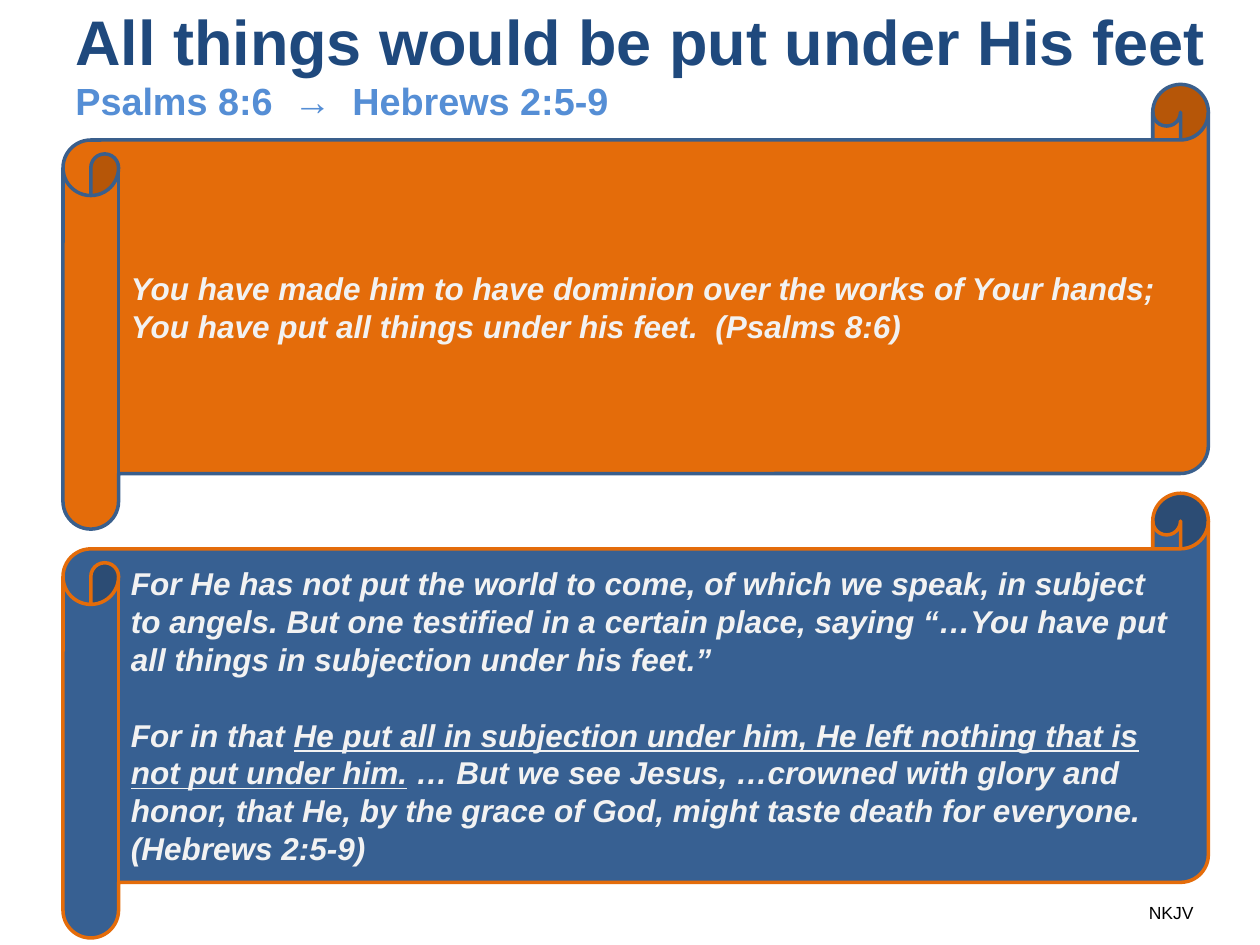
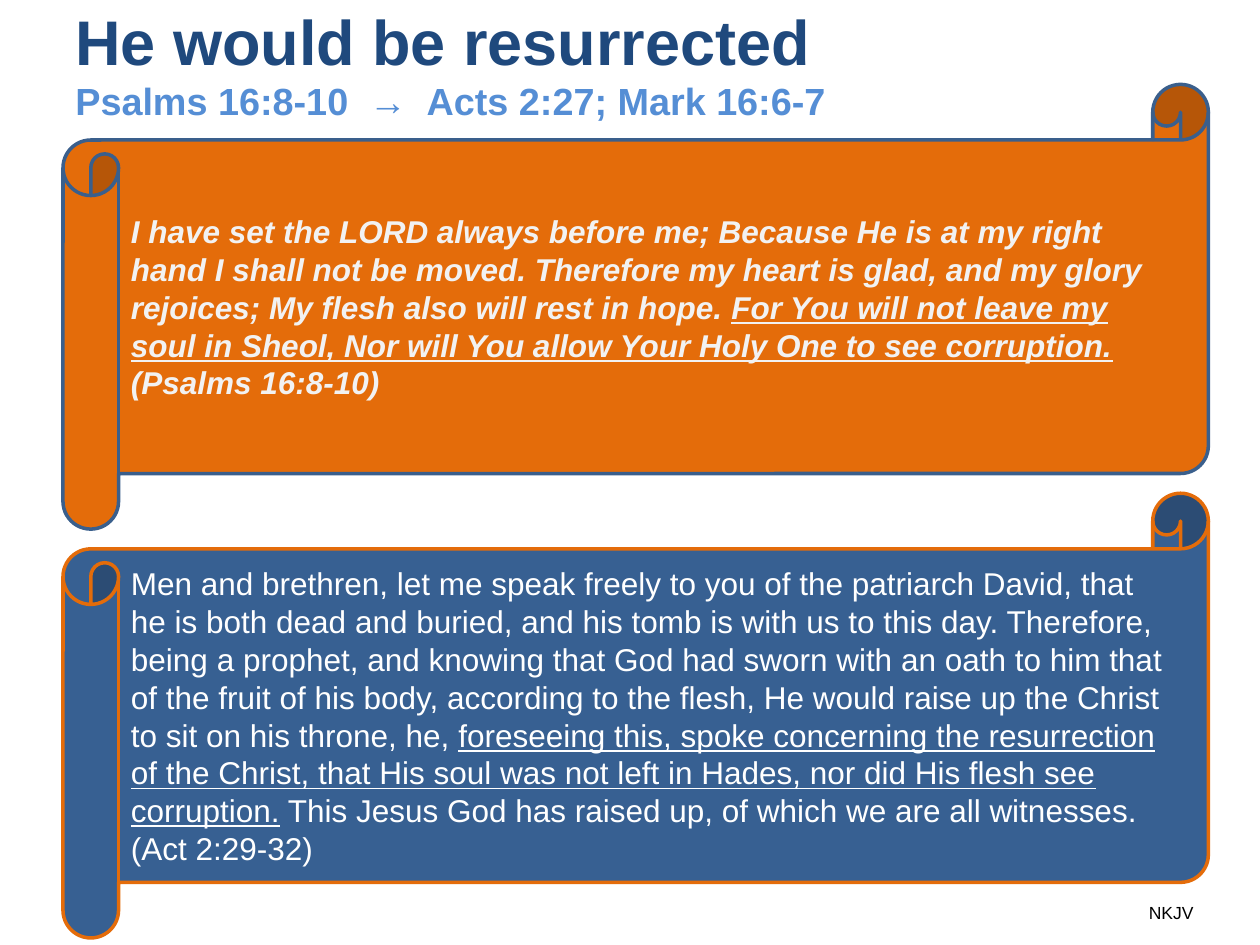
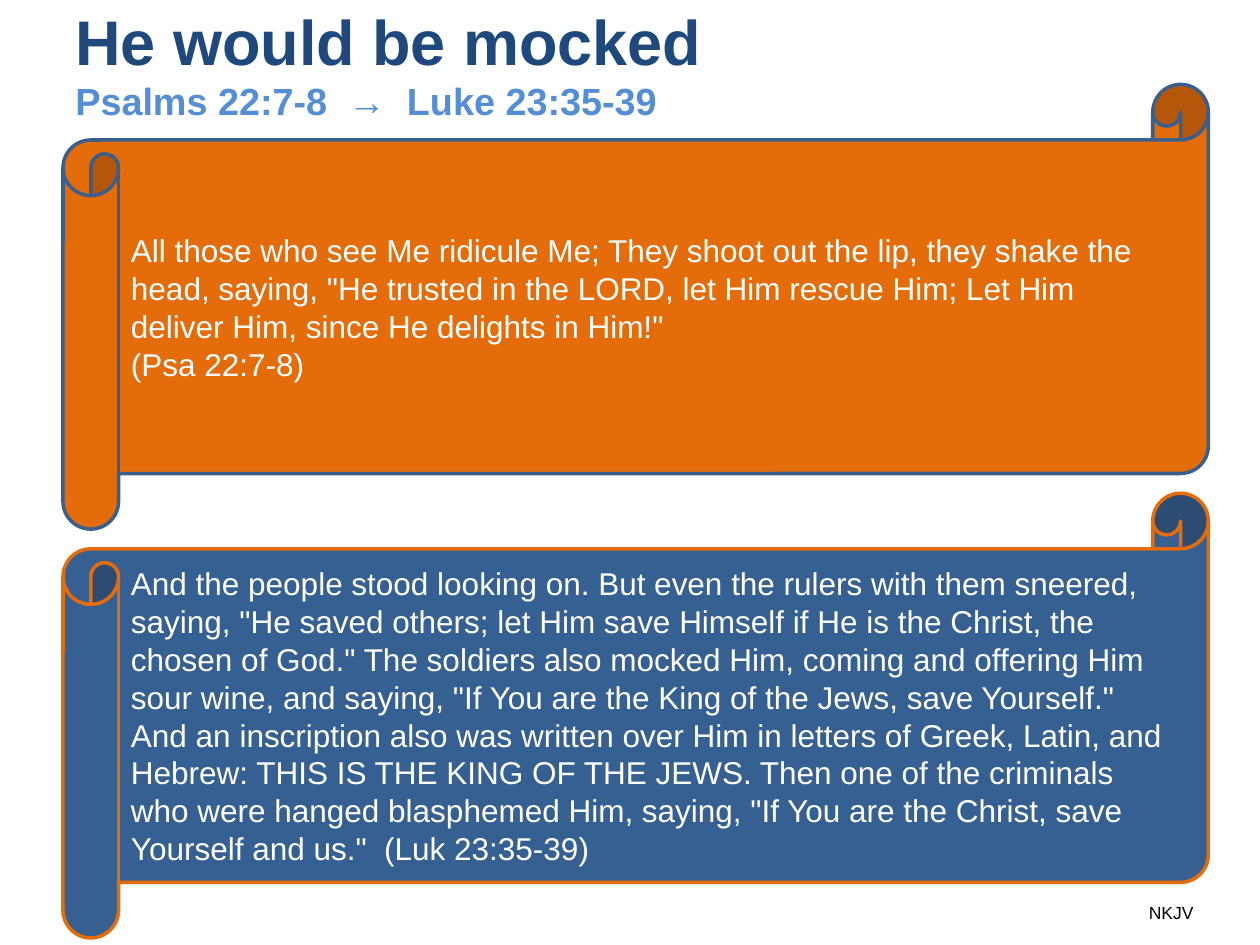
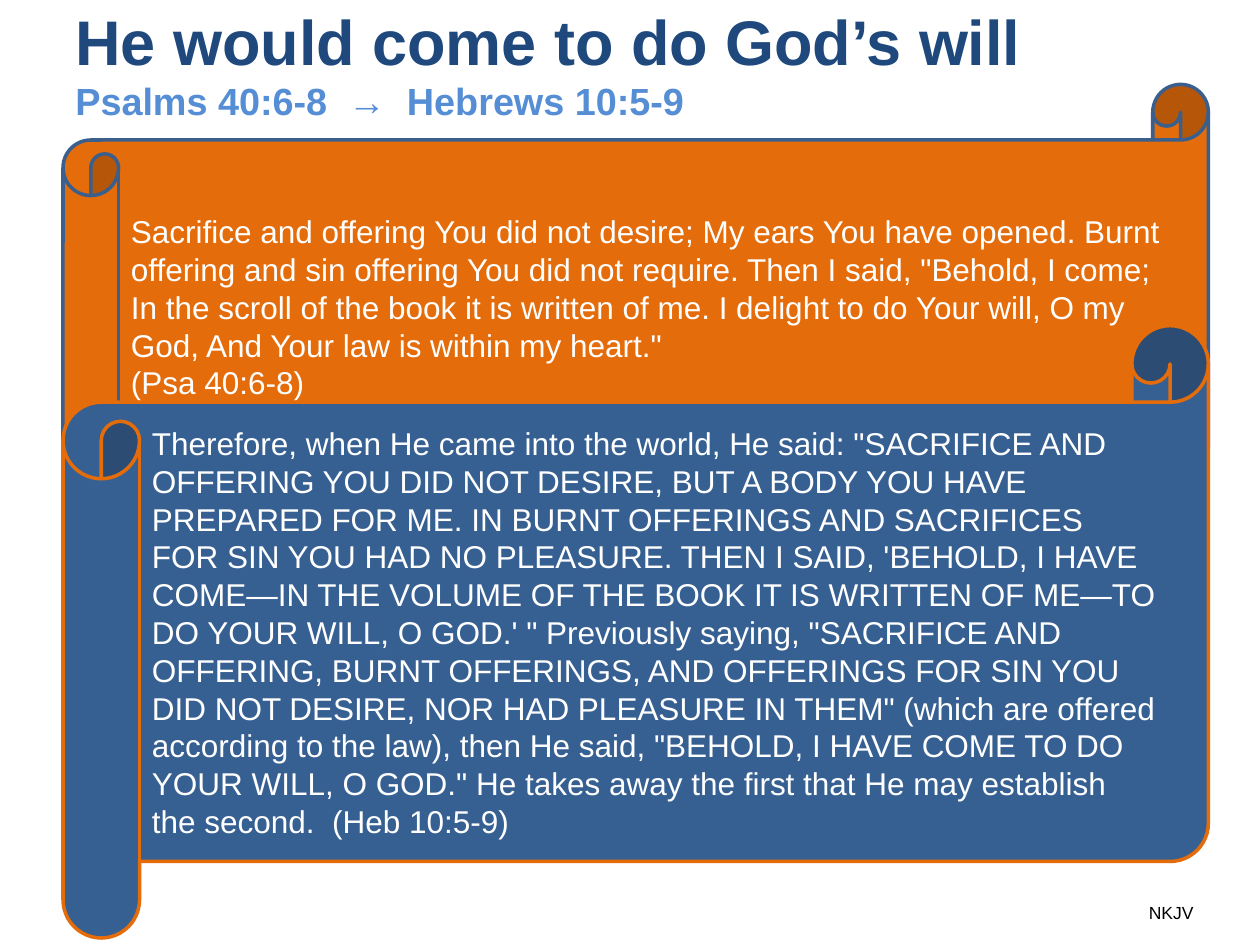
from dataclasses import dataclass

from pptx import Presentation
from pptx.dml.color import RGBColor
from pptx.enum.shapes import MSO_SHAPE
from pptx.enum.text import MSO_ANCHOR, PP_ALIGN
from pptx.util import Inches, Pt

SCROLL = MSO_SHAPE.HORIZONTAL_SCROLL
MIDDLE = MSO_ANCHOR.MIDDLE
LEFT = PP_ALIGN.LEFT

NAVY = RGBColor(0x1F, 0x49, 0x7D)
SKY = RGBColor(0x55, 0x8E, 0xD5)
ORANGE = RGBColor(0xE4, 0x6C, 0x0A)
STEEL = RGBColor(0x37, 0x60, 0x92)
SLATE = RGBColor(0x3A, 0x5F, 0x8C)
PALE = RGBColor(0xF2, 0xF2, 0xF2)
WHITE = RGBColor(0xFF, 0xFF, 0xFF)
BLACK = RGBColor(0x00, 0x00, 0x00)

FONT = "Arial"
WIDTH, HEIGHT = Inches(10), Inches(7.5)
COLUMN, ROW = WIDTH / 100, HEIGHT / 75
MARGIN = 5
SCROLL_COLUMNS = 90.9
PROPHECY_ROW = 6.7
PROPHECY_ROWS = 35.3
SCROLL_BOTTOM = 74.45
PARAGRAPH_GAP = Pt(21.6)


@dataclass(frozen=True)
class Area:
    column: float
    row: float
    columns: float
    rows: float

    def lengths(self) -> tuple[int, int, int, int]:
        return (round(self.column * COLUMN), round(self.row * ROW),
                round(self.columns * COLUMN), round(self.rows * ROW))


@dataclass(frozen=True)
class Span:
    text: str
    underlined: bool = False


@dataclass(frozen=True)
class Verse:
    paragraphs: list[list[Span]]
    emphasised: bool = False
    spaced: bool = False


@dataclass(frozen=True)
class Lesson:
    title: str
    references: str
    prophecy: Verse
    fulfilment: Verse
    title_columns: float = 90
    fulfilment_rows: float = PROPHECY_ROWS


LESSONS = [
    Lesson(
        "All things would be put under His feet",
        "Psalms 8:6  →  Hebrews 2:5-9",
        Verse([[Span(
            "You have made him to have dominion over the works of Your hands; "
            "You have put all things under his feet.  (Psalms 8:6)")]],
            emphasised=True),
        Verse([
            [Span("For He has not put the world to come, of which we speak, in "
                  "subject to angels. But one testified in a certain place, "
                  "saying “…You have put all things in subjection under his "
                  "feet.”")],
            [Span("For in that "),
             Span("He put all in subjection under him, He left nothing that is "
                  "not put under him.", underlined=True),
             Span(" … But we see Jesus, …crowned with glory and honor, that He, "
                  "by the grace of God, might taste death for everyone. "
                  "(Hebrews 2:5-9)")],
        ], emphasised=True, spaced=True),
        title_columns=93.3,
    ),
    Lesson(
        "He would be resurrected",
        "Psalms 16:8-10  →  Acts 2:27; Mark 16:6-7",
        Verse([[
            Span("I have set the LORD always before me; Because He is at my "
                 "right hand I shall not be moved. Therefore my heart is glad, "
                 "and my glory rejoices; My flesh also will rest in hope. "),
            Span("For You will not leave my soul in Sheol, Nor will You allow "
                 "Your Holy One to see corruption.", underlined=True),
            Span("  (Psalms 16:8-10)"),
        ]], emphasised=True),
        Verse([
            [Span("Men and brethren, let me speak freely to you of the patriarch "
                  "David, that he is both dead and buried, and his tomb is with "
                  "us to this day. Therefore, being a prophet, and knowing that "
                  "God had sworn with an oath to him that of the fruit of his "
                  "body, according to the flesh, He would raise up the Christ "
                  "to sit on his throne, he, "),
             Span("foreseeing this, spoke concerning the resurrection of the "
                  "Christ, that His soul was not left in Hades, nor did His "
                  "flesh see corruption.", underlined=True),
             Span(" This Jesus God has raised up, of which we are all "
                  "witnesses.")],
            [Span("(Act 2:29-32)")],
        ]),
    ),
    Lesson(
        "He would be mocked",
        "Psalms 22:7-8  →  Luke 23:35-39",
        Verse([
            [Span("All those who see Me ridicule Me; They shoot out the lip, "
                  "they shake the head, saying, \"He trusted in the LORD, let "
                  "Him rescue Him; Let Him deliver Him, since He delights in "
                  "Him!\"")],
            [Span("(Psa 22:7-8)")],
        ]),
        Verse([[Span(
            "And the people stood looking on. But even the rulers with them "
            "sneered, saying, \"He saved others; let Him save Himself if He is "
            "the Christ, the chosen of God.\" The soldiers also mocked Him, "
            "coming and offering Him sour wine, and saying, \"If You are the "
            "King of the Jews, save Yourself.\" And an inscription also was "
            "written over Him in letters of Greek, Latin, and Hebrew: THIS IS "
            "THE KING OF THE JEWS. Then one of the criminals who were hanged "
            "blasphemed Him, saying, \"If You are the Christ, save Yourself "
            "and us.\"  (Luk 23:35-39)")]]),
    ),
    Lesson(
        "He would come to do God’s will",
        "Psalms 40:6-8  →  Hebrews 10:5-9",
        Verse([
            [Span("Sacrifice and offering You did not desire; My ears You have "
                  "opened. Burnt offering and sin offering You did not require. "
                  "Then I said, \"Behold, I come; In the scroll of the book it "
                  "is written of me. I delight to do Your will, O my God, And "
                  "Your law is within my heart.\"")],
            [Span("(Psa 40:6-8)")],
        ]),
        Verse([[Span(
            "Therefore, when He came into the world, He said: \"SACRIFICE AND "
            "OFFERING YOU DID NOT DESIRE, BUT A BODY YOU HAVE PREPARED FOR ME. "
            "IN BURNT OFFERINGS AND SACRIFICES FOR SIN YOU HAD NO PLEASURE. "
            "THEN I SAID, 'BEHOLD, I HAVE COME—IN THE VOLUME OF THE BOOK IT IS "
            "WRITTEN OF ME—TO DO YOUR WILL, O GOD.' \" Previously saying, "
            "\"SACRIFICE AND OFFERING, BURNT OFFERINGS, AND OFFERINGS FOR SIN "
            "YOU DID NOT DESIRE, NOR HAD PLEASURE IN THEM\" (which are offered "
            "according to the law), then He said, \"BEHOLD, I HAVE COME TO DO "
            "YOUR WILL, O GOD.\" He takes away the first that He may establish "
            "the second.  (Heb 10:5-9)")]]),
        fulfilment_rows=48.6,
    ),
]


def style(font, size: float, color: RGBColor) -> None:
    font.name = FONT
    font.size = Pt(size)
    font.color.rgb = color


def draw_title(page, lesson: Lesson) -> None:
    area = Area(MARGIN, 0, lesson.title_columns, 10)
    frame = page.shapes.add_textbox(*area.lengths()).text_frame
    frame.word_wrap = True
    frame.vertical_anchor = MIDDLE
    paragraph = frame.paragraphs[0]
    paragraph.font.bold = True
    title = paragraph.add_run()
    title.text = lesson.title
    style(title.font, 36, NAVY)
    paragraph.add_line_break()
    references = paragraph.add_run()
    references.text = lesson.references
    style(references.font, 21.6, SKY)


def draw_scroll(page, row: float, rows: float, fill: RGBColor,
                outline: RGBColor, verse: Verse) -> None:
    area = Area(MARGIN, row, SCROLL_COLUMNS, rows)
    scroll = page.shapes.add_shape(SCROLL, *area.lengths())
    scroll.shadow.inherit = False
    scroll.fill.solid()
    scroll.fill.fore_color.rgb = fill
    scroll.line.color.rgb = outline
    scroll.line.width = Pt(2)
    frame = scroll.text_frame
    frame.word_wrap = True
    frame.vertical_anchor = MIDDLE
    for index, spans in enumerate(verse.paragraphs):
        paragraph = frame.add_paragraph() if index else frame.paragraphs[0]
        paragraph.alignment = LEFT
        if index and verse.spaced:
            paragraph.space_before = PARAGRAPH_GAP
        style(paragraph.font, 18, PALE if verse.emphasised else WHITE)
        paragraph.font.bold = verse.emphasised
        paragraph.font.italic = verse.emphasised
        for span in spans:
            run = paragraph.add_run()
            run.text = span.text
            if span.underlined:
                run.font.underline = True


def draw_translation(page) -> None:
    area = Area(90.2, 71.1, 5.6, 2.7)
    frame = page.shapes.add_textbox(*area.lengths()).text_frame
    frame.word_wrap = False
    paragraph = frame.paragraphs[0]
    paragraph.text = "NKJV"
    style(paragraph.font, 10, BLACK)


def draw_lesson(page, lesson: Lesson) -> None:
    draw_title(page, lesson)
    draw_scroll(page, PROPHECY_ROW, PROPHECY_ROWS, ORANGE, SLATE,
                lesson.prophecy)
    draw_scroll(page, SCROLL_BOTTOM - lesson.fulfilment_rows,
                lesson.fulfilment_rows, STEEL, ORANGE, lesson.fulfilment)
    draw_translation(page)


def main() -> None:
    deck = Presentation()
    deck.slide_width, deck.slide_height = WIDTH, HEIGHT
    blank = deck.slide_layouts[6]
    for lesson in LESSONS:
        draw_lesson(deck.slides.add_slide(blank), lesson)
    deck.save("out.pptx")


if __name__ == "__main__":
    main()
